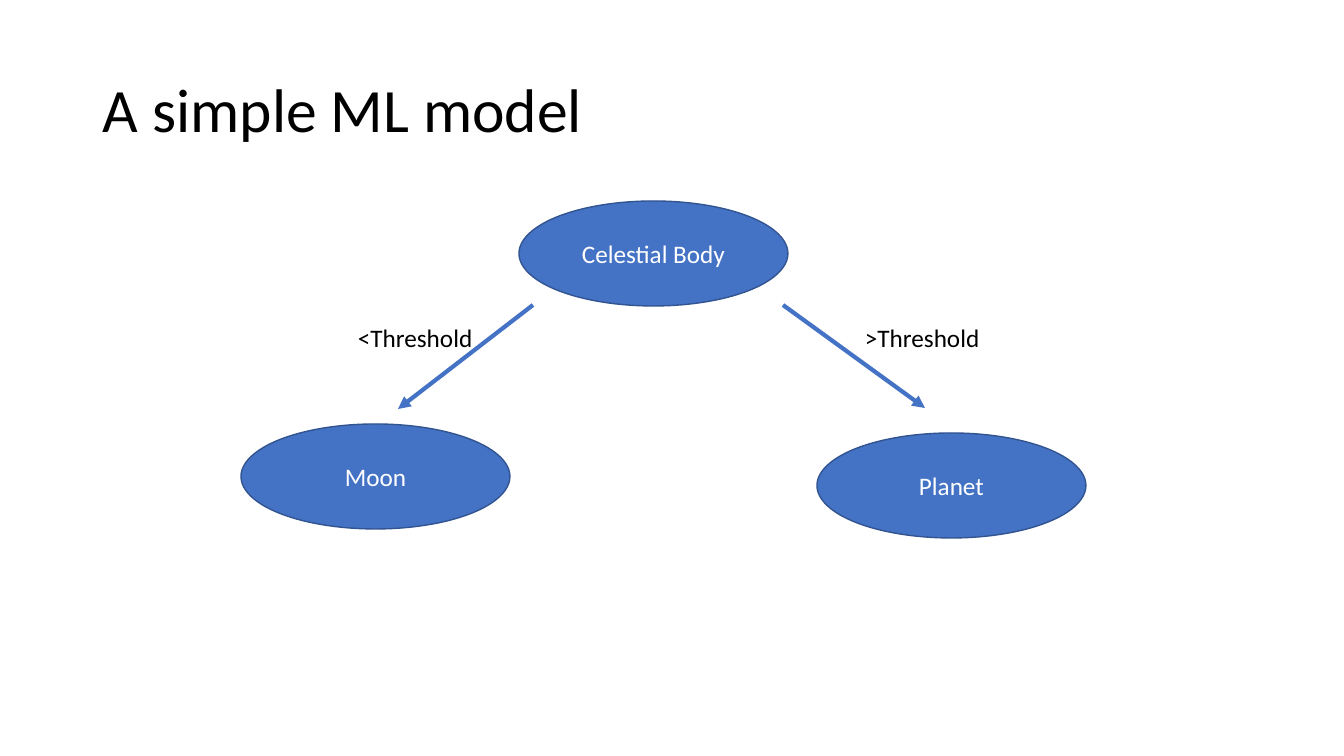
from lxml.etree import SubElement
from pptx import Presentation
from pptx.dml.color import RGBColor
from pptx.enum.shapes import MSO_CONNECTOR as Connector, MSO_SHAPE as Preset
from pptx.enum.text import MSO_ANCHOR as Anchor, PP_ALIGN as Align
from pptx.oxml.ns import qn
from pptx.util import Pt

TITLE = ("A simple ML model", (93, 40, 1159, 146))
NODES = [("Celestial Body", 519, 201), ("Moon", 241, 424), ("Planet", 817, 433)]
NODE_SIZE = (269, 105)
BRANCHES = [((533, 305), (398, 409)), ((783, 305), (925, 408))]
LABELS = [("<Threshold", 348, 317), (">Threshold", 855, 317)]
LABEL_SIZE = (162, 40)

COLORS = {"node": "4472C4", "outline": "325491", "text": "000000", "node text": "FFFFFF"}
FONT = "Calibri"
PAGE_SIZE = (1344, 756)
EMU_PER_PIXEL = 914400 / 100.8


def emu(*pixels):
    """Turn pixel lengths into EMU."""
    return [round(pixel * EMU_PER_PIXEL) for pixel in pixels]


def color(name):
    """Look up a named colour."""
    return RGBColor.from_string(COLORS[name])


def write(shape, text, size, ink, anchor, align=Align.LEFT):
    """Fill a shape with one styled paragraph."""
    frame = shape.text_frame
    frame.text = text
    frame.word_wrap = True
    frame.vertical_anchor = anchor
    para = frame.paragraphs[0]
    para.alignment = align
    font = para.runs[0].font
    font.name, font.size = FONT, Pt(size)
    font.color.rgb = color(ink)
    return para


def add_text(page, text, box, size, anchor):
    """Add a text box and return its paragraph."""
    return write(page.shapes.add_textbox(*emu(*box)), text, size, "text", anchor)


def add_node(page, text, left, top):
    """Add one ellipse of the tree."""
    node = page.shapes.add_shape(Preset.OVAL, *emu(left, top, *NODE_SIZE))
    node.shadow.inherit = False
    node.fill.solid()
    node.fill.fore_color.rgb = color("node")
    node.line.color.rgb = color("outline")
    node.line.width = Pt(1)
    write(node, text, 18, "node text", Anchor.MIDDLE, Align.CENTER)


def add_branch(page, start, end):
    """Add an arrow between two levels of the tree."""
    arrow = page.shapes.add_connector(Connector.STRAIGHT, *emu(*start, *end))
    arrow.line.color.rgb = color("node")
    arrow.line.width = Pt(3)
    SubElement(arrow.line._get_or_add_ln(), qn("a:tailEnd"), type="triangle")
    SubElement(arrow._element.spPr, qn("a:effectLst"))


deck = Presentation()
deck.slide_width, deck.slide_height = emu(*PAGE_SIZE)
page = deck.slides.add_slide(deck.slide_layouts[6])

add_text(page, *TITLE, 44, Anchor.MIDDLE).line_spacing = 0.9
for node in NODES:
    add_node(page, *node)
for branch in BRANCHES:
    add_branch(page, *branch)
for text, left, top in LABELS:
    add_text(page, text, (left, top, *LABEL_SIZE), 18, Anchor.TOP)

deck.save("out.pptx")
